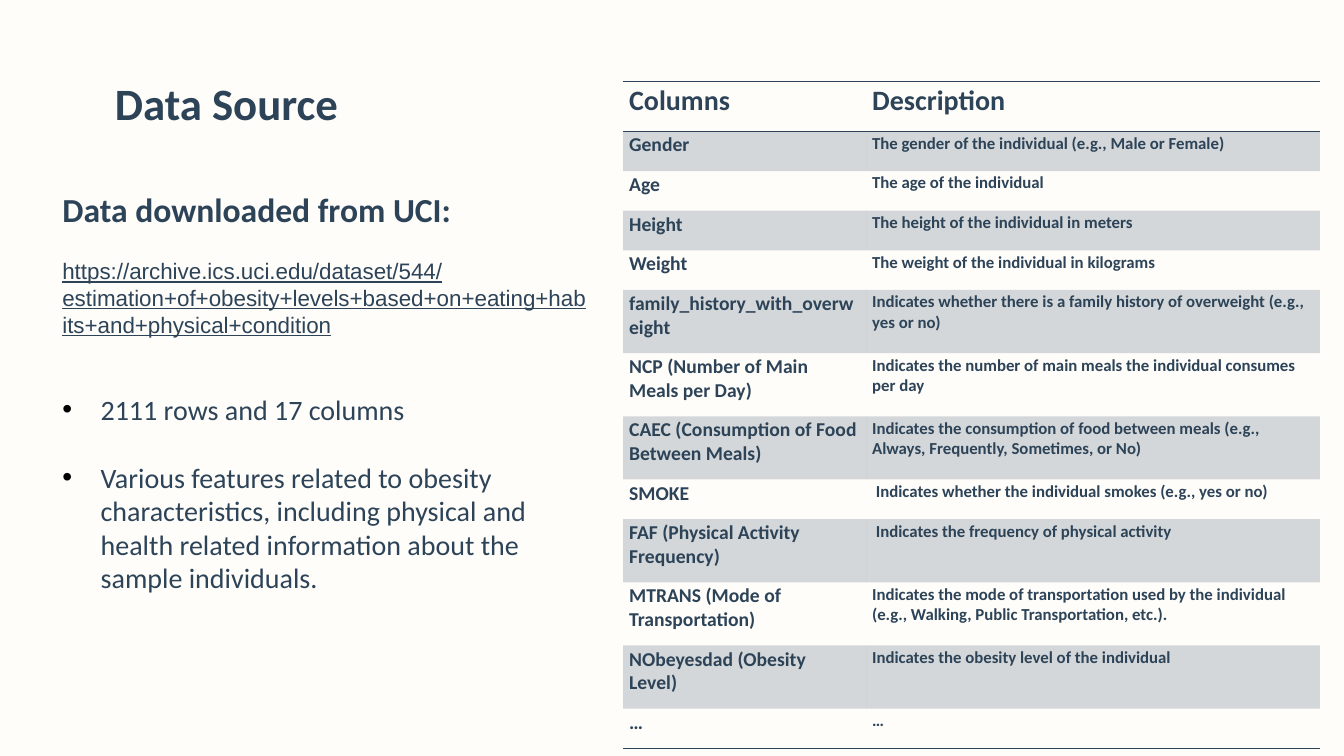
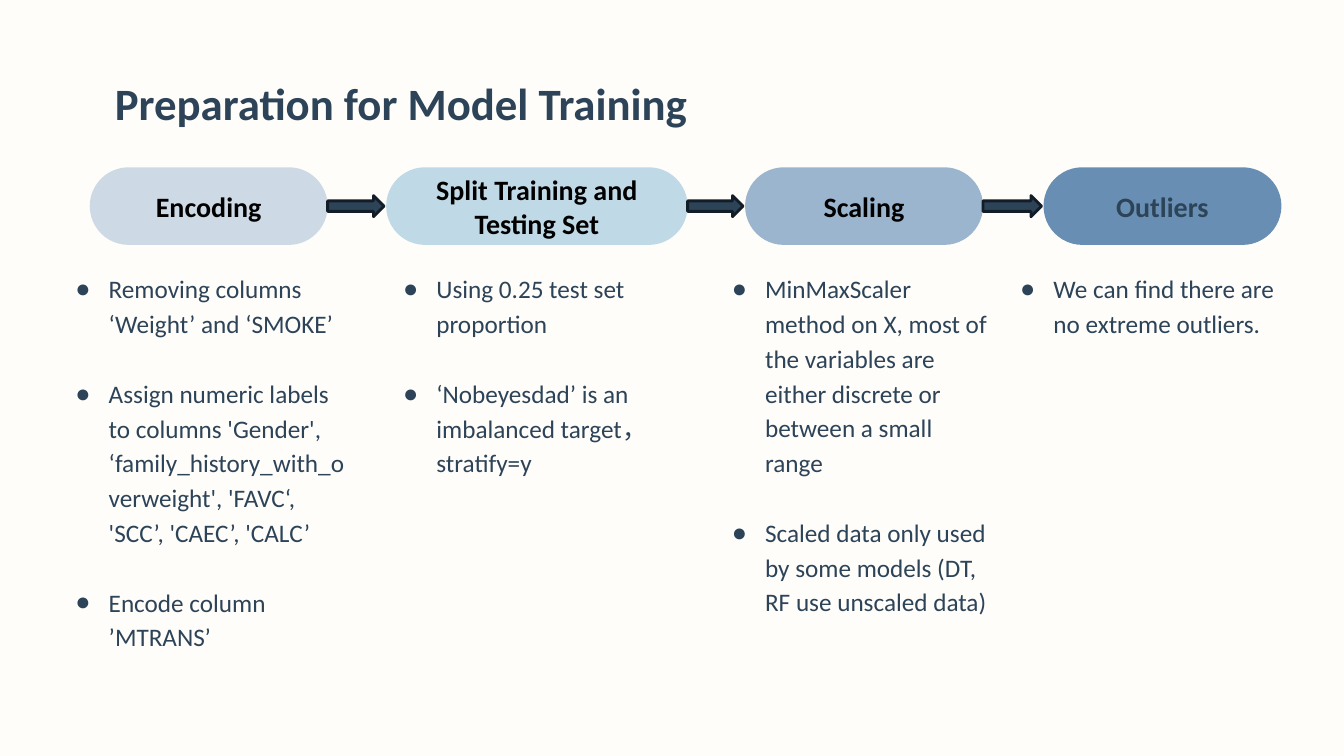
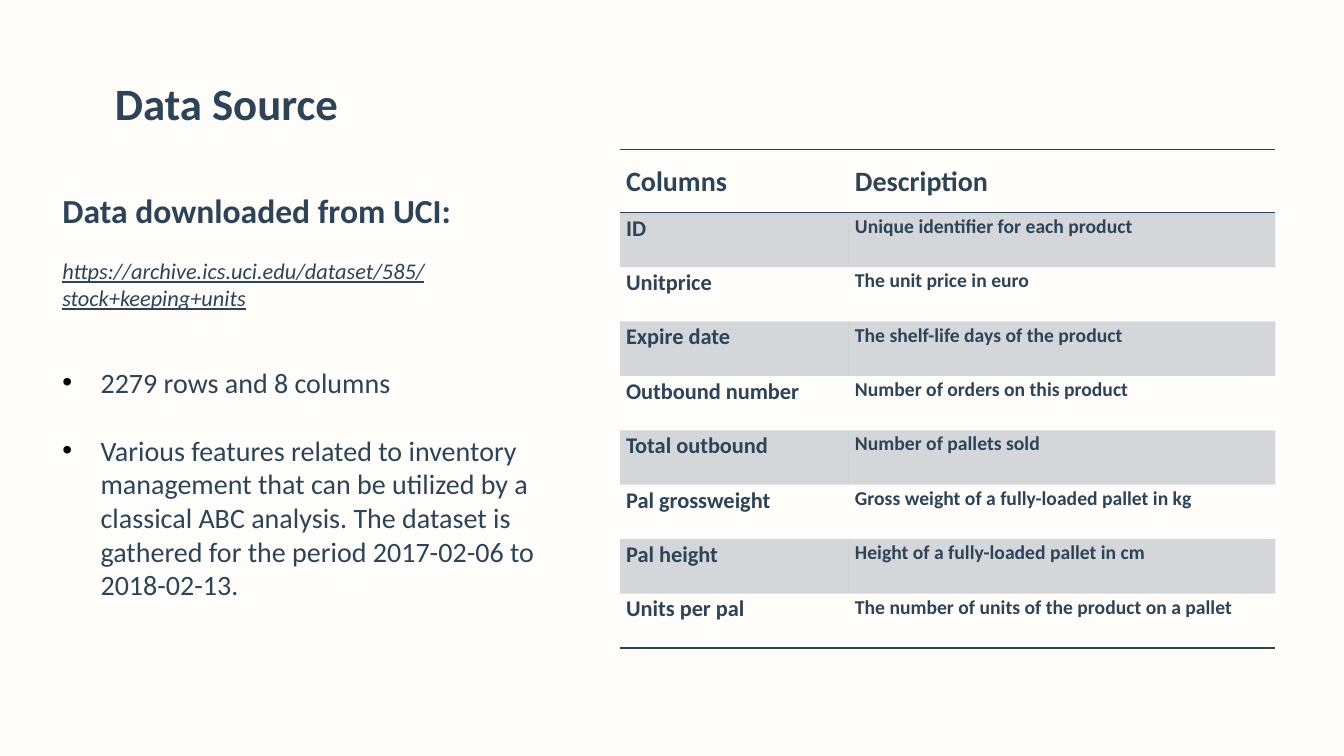
"""Build three slides on data sources and model preparation."""
from lxml import etree
from pptx import Presentation
from pptx.dml.color import RGBColor
from pptx.enum.shapes import MSO_SHAPE
from pptx.enum.text import MSO_ANCHOR, PP_ALIGN
from pptx.oxml.ns import qn
from pptx.util import Pt

PX = 9144
FONT = "Calibri"
NO_STYLE = "{2D5ABB26-0587-4C30-8999-92F81FD0307C}"
PILL = MSO_SHAPE.ROUNDED_RECTANGLE
ARROW = MSO_SHAPE.RIGHT_ARROW
TOP, MIDDLE, BOTTOM = MSO_ANCHOR.TOP, MSO_ANCHOR.MIDDLE, MSO_ANCHOR.BOTTOM
LEFT, CENTER = PP_ALIGN.LEFT, PP_ALIGN.CENTER
COLOR = {
    "paper": "FFFDFA", "ink": "2C4358", "edge": "131D27", "black": "000000",
    "mist": "CDDAE6", "sky": "BFDAE6", "steel": "9AB5CD", "blue": "688FB3",
}
INTRO = "Data downloaded from UCI:"

OBESITY = [
    ("Columns", "Description"),
    ("Gender", "The gender of the individual (e.g., Male or Female)"),
    ("Age", "The age of the individual"),
    ("Height", "The height of the individual in meters"),
    ("Weight", "The weight of the individual in kilograms"),
    ("family_history_with_overweight",
     "Indicates whether there is a family history of overweight (e.g., yes or no)"),
    ("NCP (Number of Main Meals per Day)",
     "Indicates the number of main meals the individual consumes per day"),
    ("CAEC (Consumption of Food Between Meals)",
     "Indicates the consumption of food between meals "
     "(e.g., Always, Frequently, Sometimes, or No)"),
    ("SMOKE", " Indicates whether the individual smokes (e.g., yes or no)"),
    ("FAF (Physical Activity Frequency)",
     " Indicates the frequency of physical activity"),
    ("MTRANS (Mode of Transportation)",
     "Indicates the mode of transportation used by the individual "
     "(e.g., Walking, Public Transportation, etc.)."),
    ("NObeyesdad (Obesity Level)", "Indicates the obesity level of the individual"),
    ("…", "…"),
]
STOCK = [
    ("Columns", "Description"),
    ("ID", "Unique identifier for each product"),
    ("Unitprice", "The unit price in euro"),
    ("Expire date", "The shelf-life days of the product"),
    ("Outbound number", "Number of orders on this product"),
    ("Total outbound", "Number of pallets sold"),
    ("Pal grossweight", "Gross weight of a fully-loaded pallet in kg"),
    ("Pal height", "Height of a fully-loaded pallet in cm"),
    ("Units per pal", "The number of units of the product on a pallet"),
]
STEPS = [
    ("Encoding", "mist", "black", (89, 236), (48, 308, 418), [
        "Removing columns ‘Weight’ and ‘SMOKE’",
        "Assign numeric labels to columns 'Gender', "
        "‘family_history_with_overweight', 'FAVC‘, 'SCC’, 'CAEC’, 'CALC’",
        "Encode column ’MTRANS’"]),
    ("Split Training and Testing Set", "sky", "black", (383, 299), (373, 308, 366), [
        "Using 0.25 test set proportion",
        "‘Nobeyesdad’ is an imbalanced target，stratify=y"]),
    ("Scaling", "steel", "black", (739, 236), (699, 290, 466), [
        "MinMaxScaler method on X, most of the variables are either discrete "
        "or between a small range",
        "Scaled data only used by some models (DT, RF use unscaled data)"]),
    ("Outliers", "blue", "ink", (1035, 236), (985, 308, 327), [
        "We can find there are no extreme outliers."]),
]


def px(*sizes):
    """Turn pixel lengths into EMU."""
    return [size * PX for size in sizes]


def rgb(name):
    """Look up a named colour."""
    return RGBColor.from_string(COLOR[name])


def node(parent, tag, **attrs):
    """Append a drawing element to its parent."""
    return etree.SubElement(parent, qn("a:" + tag), attrs)


def inset(item, left, top, right, bottom):
    """Set the margins of a text frame or cell."""
    (item.margin_left, item.margin_top,
     item.margin_right, item.margin_bottom) = px(left, top, right, bottom)


def write(para, text, size, color="ink", bold=False, face=FONT, link=False, slant=False):
    """Add one styled run."""
    run = para.add_run()
    run.text = text
    font = run.font
    font.name, font.size, font.bold = face, Pt(size), bold
    font.underline, font.italic = link, slant
    font.color.rgb = rgb(color)


def bullet(para, mark, color, indent, hang):
    """Give a paragraph a hanging bullet."""
    props = para._p.get_or_add_pPr()
    props.set("marL", str(indent * PX))
    props.set("indent", str(-hang * PX))
    node(node(props, "buClr"), "srgbClr", val=COLOR[color])
    node(props, "buFont", typeface="Arial")
    node(props, "buChar", char=mark)


def textbox(slide, box, margins):
    """Add a wrapping text box and return its frame."""
    frame = slide.shapes.add_textbox(*px(*box)).text_frame
    frame.word_wrap = True
    inset(frame, *margins)
    return frame


def preset(slide, kind, box, fill, line=None):
    """Add a flat preset shape."""
    shape = slide.shapes.add_shape(kind, *px(*box))
    shape.shadow.inherit = False
    shape.fill.solid()
    shape.fill.fore_color.rgb = rgb(fill)
    if line:
        shape.line.color.rgb = rgb(line)
        shape.line.width = Pt(2)
    else:
        shape.line.fill.background()
    return shape


def page(deck, title):
    """Add a blank slide with its title."""
    slide = deck.slides.add_slide(deck.slide_layouts[6])
    frame = textbox(slide, (104, 65, 1125, 84), (10, 10, 10, 10))
    write(frame.paragraphs[0], title, 32, bold=True)
    return slide


def about(slide, height, url, facts, **style):
    """Add the source link and facts of a data set."""
    frame = textbox(slide, (52, 183, 544, height), (10, 5, 10, 5))
    write(frame.paragraphs[0], INTRO, 24, bold=True)
    para = frame.add_paragraph()
    para.space_before = Pt(19.5)
    write(para, url, 16, link=True, **style)
    for fact, gap in zip(facts, (39, 24.4)):
        para = frame.add_paragraph()
        bullet(para, "•", "black", 38, 38)
        para.space_before = Pt(gap)
        write(para, fact, 20)


def rule(cell, side):
    """Draw a thin border on one side of a cell."""
    line = node(cell._tc.get_or_add_tcPr(), side, w=str(Pt(1)))
    node(node(line, "solidFill"), "srgbClr", val=COLOR["ink"])


def shade(cell, dark):
    """Tint a cell or leave it clear."""
    if not dark:
        cell.fill.background()
        return
    cell.fill.solid()
    cell.fill.fore_color.rgb = rgb("ink")
    tint = cell._tc.tcPr.find(".//" + qn("a:solidFill") + "/" + qn("a:srgbClr"))
    node(tint, "alpha", val="20000")


def grid(slide, spot, widths, heights, rows, sizes):
    """Add a ruled table with every other row tinted."""
    frame = slide.shapes.add_table(
        len(rows), len(widths), *px(*spot, sum(widths), sum(heights)))
    table = frame.table
    table.first_row = table.horz_banding = False
    table._tbl.tblPr.find(qn("a:tableStyleId")).text = NO_STYLE
    for column, width in zip(table.columns, widths):
        column.width = width * PX
    for r, (row, height) in enumerate(zip(rows, heights)):
        table.rows[r].height = height * PX
        head, last = r == 0, r == len(rows) - 1
        for c, text in enumerate(row):
            cell = table.cell(r, c)
            inset(cell, 6, 2, 9, 14)
            cell.vertical_anchor = BOTTOM if head else TOP
            if head:
                rule(cell, "lnT")
            if head or last:
                rule(cell, "lnB")
            shade(cell, r % 2)
            size = 20 if head else sizes[c]
            write(cell.text_frame.paragraphs[0], text, size, bold=True)


def step(slide, name, fill, ink, span, notes, lines):
    """Add one stage of the process with its notes."""
    left, width = span
    shape = preset(slide, PILL, (left, 166, width, 77), fill)
    shape.adjustments[0] = 0.5
    frame = shape.text_frame
    frame.word_wrap = True
    frame.vertical_anchor = MIDDLE
    para = frame.paragraphs[0]
    para.alignment = CENTER
    write(para, name, 20, ink, bold=True)
    left, width, height = notes
    frame = textbox(slide, (left, 257, width, height), (10, 10, 10, 10))
    for i, line in enumerate(lines):
        para = frame.add_paragraph() if i else frame.paragraphs[0]
        bullet(para, "●", "ink", 50, 33)
        para.alignment = LEFT
        para.line_spacing = 1.15
        if i:
            para.space_before = Pt(25)
        write(para, line, 18)


def main():
    """Build and save the deck."""
    deck = Presentation()
    deck.slide_width, deck.slide_height = px(1333, 750)
    back = deck.slide_master.background.fill
    back.solid()
    back.fore_color.rgb = rgb("paper")

    slide = page(deck, "Data Source")
    low, tall = 38, 60
    heights = [47] + [low] * 4 + [tall] * 3 + [low] + [tall] * 2 + [low] * 2
    grid(slide, (618, 81), (241, 450), heights, OBESITY, (14, 12))
    about(slide, 414,
          "https://archive.ics.uci.edu/dataset/544/estimation+of+obesity+levels"
          "+based+on+eating+habits+and+physical+condition",
          ["2111 rows and 17 columns",
           "Various features related to obesity characteristics, including physical "
           "and health related information about the sample individuals."],
          face="Arial")

    slide = page(deck, "Preparation for Model Training")
    for item in STEPS:
        step(slide, *item)
    spans = [item[3] for item in STEPS]
    for (left, width), (end, _) in zip(spans, spans[1:]):
        start = left + width
        preset(slide, ARROW, (start, 194, end - start - 2, 21), "ink", "edge")

    slide = page(deck, "Data Source")
    grid(slide, (615, 148), (227, 423), [63] + [54] * 8, STOCK, (16, 14))
    about(slide, 421,
          "https://archive.ics.uci.edu/dataset/585/stock+keeping+units",
          ["2279 rows and 8 columns",
           "Various features related to inventory management that can be utilized by "
           "a classical ABC analysis. The dataset is gathered for the period "
           "2017-02-06 to 2018-02-13."],
          slant=True)
    deck.save("out.pptx")


if __name__ == "__main__":
    main()
